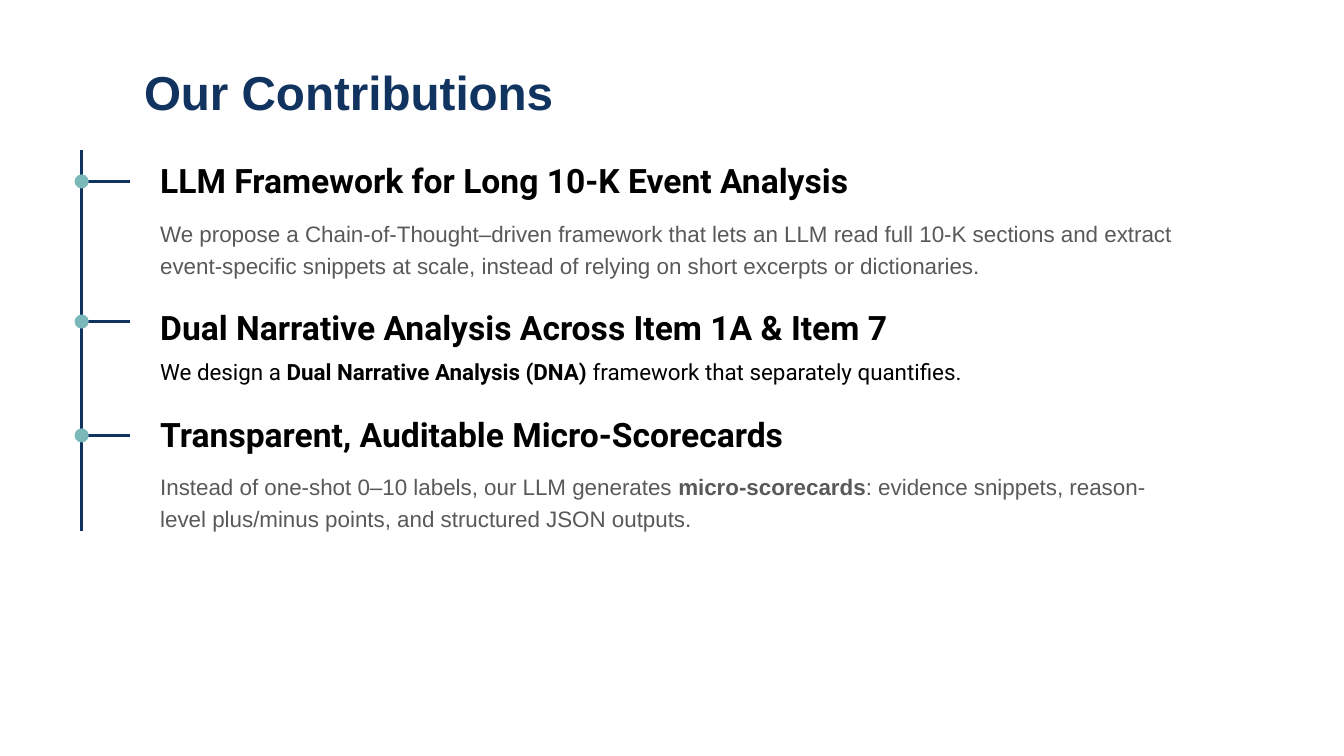
from lxml import etree
from pptx import Presentation
from pptx import util as u
from pptx.dml.color import RGBColor
from pptx.enum import shapes, text
from pptx.oxml import ns

NAVY, TEAL, BLACK, GREY = "11335F", "7BB8BA", "000000", "595959"


def colour(value):
    return RGBColor.from_string(value)


class ContributionsSlide:
    """Holds the timeline style and the slide being drawn."""

    margin = 0.1
    dot_size = 0.14

    def __init__(self, deck):
        self.slide = deck.slides.add_slide(deck.slide_layouts[6])

    def text_frame(self, left, top, width, height):
        area = self.slide.shapes.add_textbox(*map(u.Inches, (left, top, width, height)))
        frame = area.text_frame
        frame.word_wrap = True
        frame.vertical_anchor = text.MSO_ANCHOR.TOP
        frame.margin_left = frame.margin_right = u.Inches(self.margin)
        frame.margin_top = frame.margin_bottom = u.Inches(self.margin)
        return frame

    def paragraph(self, frame, parts, size, face, ink, spacing=1.0, before=0):
        first = frame.paragraphs[0]
        line = frame.add_paragraph() if first.runs else first
        line.line_spacing = spacing
        line.space_before = u.Pt(before)
        line.font.size = u.Pt(size)
        line.font.name = face
        line.font.color.rgb = colour(ink)
        if len(parts) == 1:
            line.font.bold = parts[0][1]
        for words, bold in parts:
            run = line.add_run()
            run.text = words
            if len(parts) > 1:
                run.font.bold = bold

    def rule(self, x1, y1, x2, y2):
        line = self.slide.shapes.add_connector(
            shapes.MSO_CONNECTOR.STRAIGHT, *map(u.Inches, (x1, y1, x2, y2)))
        line.line.color.rgb = colour(NAVY)
        line.line.width = u.Pt(2)
        etree.SubElement(line._element.spPr, ns.qn("a:effectLst"))

    def dot(self, x, y):
        corner = [u.Inches(centre - self.dot_size / 2) for centre in (x, y)]
        marker = self.slide.shapes.add_shape(
            shapes.MSO_SHAPE.OVAL, *corner, *[u.Inches(self.dot_size)] * 2)
        marker.shadow.inherit = False
        marker.fill.solid()
        marker.fill.fore_color.rgb = colour(TEAL)
        marker.line.fill.background()


def main():
    deck = Presentation()
    deck.slide_width, deck.slide_height = u.Inches(13.33), u.Inches(7.5)
    page = ContributionsSlide(deck)

    title = page.text_frame(1.33, 0.59, 10.49, 0.73)
    page.paragraph(title, [("Our Contributions", True)], 34, "Arial", NAVY, 0.9)

    contributions = [
        ("LLM Framework for Long 10-K Event Analysis",
         [("We propose a Chain-of-Thought–driven framework that lets an LLM read full "
           "10-K sections and extract event-specific snippets at scale, instead of "
           "relying on short excerpts or dictionaries.", False)],
         "Arial", GREY, 1.2, 1.8),
        ("Dual Narrative Analysis Across Item 1A & Item 7",
         [("We design a ", False), ("Dual Narrative Analysis (DNA)", True),
          (" framework that separately quantifies.", False)],
         "Roboto", BLACK, 0.9, 3.19),
        ("Transparent, Auditable Micro-Scorecards",
         [("Instead of one-shot 0–10 labels, our LLM generates ", False),
          ("micro-scorecards", True),
          (": evidence snippets, reason-level plus/minus points, and structured "
           "JSON outputs.", False)],
         "Arial", GREY, 1.2, 4.32),
    ]

    timeline_x, branch_end = 0.81, 1.29
    details = page.text_frame(1.49, 1.49, 10.35, 3.75)
    page.rule(timeline_x, 5.27, timeline_x, 1.49)
    for index, (heading, summary, face, ink, spacing, y) in enumerate(contributions):
        page.paragraph(details, [(heading, True)], 24, "Roboto", BLACK,
                       before=20 if index else 0)
        page.paragraph(details, summary, 16, face, ink, spacing, before=10)
        page.rule(branch_end, y, timeline_x, y)
        page.dot(timeline_x, y)

    deck.save("out.pptx")


if __name__ == "__main__":
    main()
